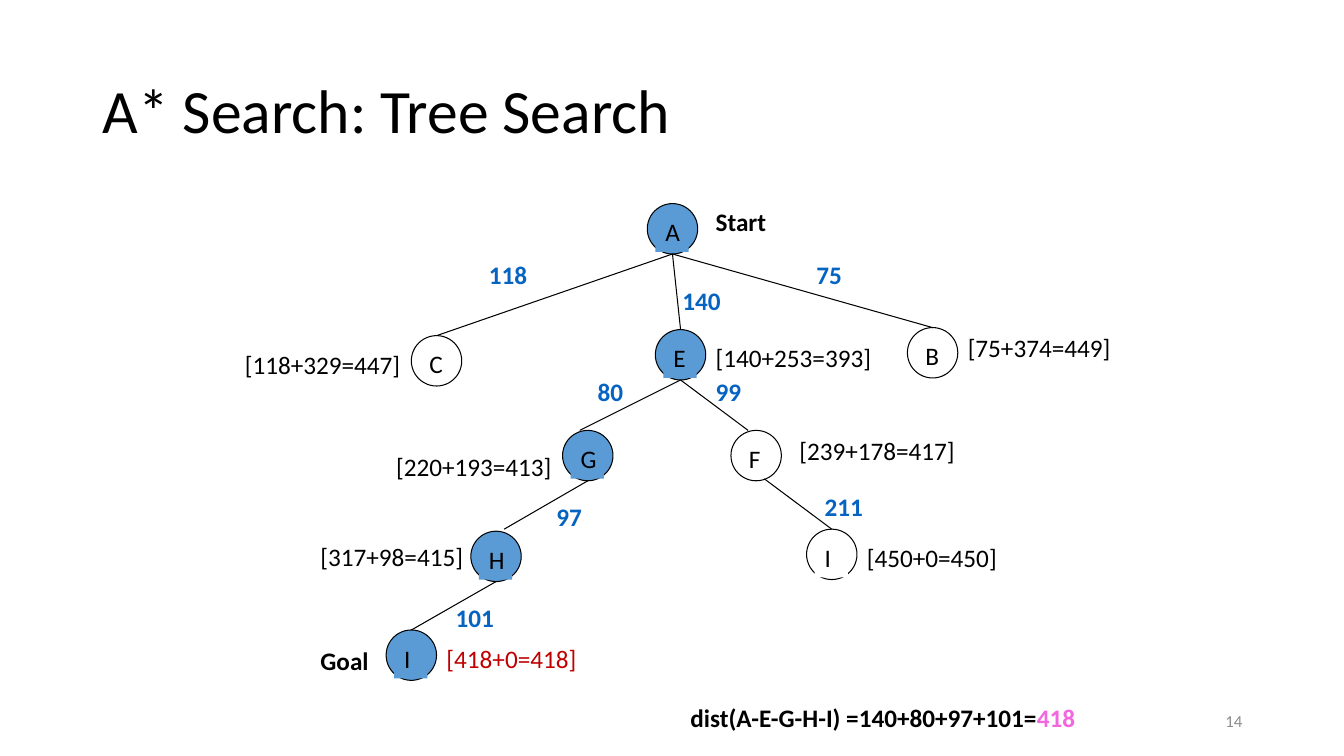
from dataclasses import dataclass

from pptx import Presentation
from pptx.dml.color import RGBColor
from pptx.enum.shapes import MSO_CONNECTOR, MSO_SHAPE
from pptx.enum.text import MSO_ANCHOR, PP_ALIGN
from pptx.oxml.ns import qn
from pptx.util import Inches, Pt
from lxml import etree

OVAL = MSO_SHAPE.OVAL
STRAIGHT = MSO_CONNECTOR.STRAIGHT
TOP, MIDDLE = MSO_ANCHOR.TOP, MSO_ANCHOR.MIDDLE
LEFT, RIGHT = PP_ALIGN.LEFT, PP_ALIGN.RIGHT

FONT = "Calibri"
BLACK, WHITE, GREY = "000000", "FFFFFF", "8C8C8C"
EXPANDED, COST_BLUE, GOAL_RED, PINK = "5B9BD5", "0563C1", "C00000", "F466E0"
DIAMETER = 0.5
LABEL_INSET, LABEL_WIDTH, LINE_HEIGHT = 0.08, 0.33, 0.4


@dataclass
class Node:
    letter: str
    x: float
    y: float
    fill: str | None = None


@dataclass
class Edge:
    """Runs from the parent's bottom to the child's top, shifted by the offsets."""
    parent: str
    child: str
    cost: str
    cost_x: float
    cost_y: float
    start_shift: tuple[float, float] = (0, 0)
    end_shift: tuple[float, float] = (0, 0)


@dataclass
class Note:
    text: str
    x: float
    y: float
    width: float
    color: str = BLACK
    bold: bool = False


NODES = {
    "A": Node("A", 6.42, 2.02, EXPANDED),
    "B": Node("B", 9, 3.25),
    "C": Node("C", 4.08, 3.33),
    "E": Node("E", 6.5, 3.27, EXPANDED),
    "F": Node("F", 7.25, 4.27),
    "G": Node("G", 5.58, 4.27, EXPANDED),
    "H": Node("H", 4.67, 5.27, EXPANDED),
    "I goal": Node("I", 3.83, 6.25, EXPANDED),
    "I right": Node("I", 8, 5.25, WHITE),
}

EDGES = [
    Edge("A", "B", "75", 8, 2.52),
    Edge("A", "E", "140", 6.67, 2.78),
    Edge("A", "C", "118", 4.75, 2.52),
    Edge("E", "F", "99", 7, 3.68, end_shift=(-0.08, 0)),
    Edge("E", "G", "80", 5.83, 3.68, end_shift=(-0.08, 0)),
    Edge("G", "H", "97", 5.42, 4.92, end_shift=(0.08, -0.02)),
    Edge("H", "I goal", "101", 4.42, 5.93),
    Edge("F", "I right", "211", 8.08, 4.83, start_shift=(0.08, -0.02)),
]

NOTES = [
    Note("Start", 7, 2, 1.33, bold=True),
    Note("Goal", 3.08, 6.35, 1.33, bold=True),
    Note("[418+0=418]", 4.33, 6.33, 1.92, GOAL_RED),
    Note("[140+253=393]", 7, 3.35, 1.83),
    Note("[75+374=449]", 9.5, 3.25, 1.92),
    Note("[118+329=447]", 2.33, 3.42, 1.92),
    Note("[317+98=415]", 3.08, 5.32, 1.67),
    Note("[239+178=417]", 7.83, 4.27, 1.83),
    Note("[220+193=413]", 3.83, 4.43, 2.17),
    Note("[450+0=450]", 8.5, 5.33, 1.53),
]


def rgb(color: str) -> RGBColor:
    return RGBColor.from_string(color)


def add_run(p, text: str, *, size=18, color=BLACK, bold=False):
    r = p.add_run()
    r.text = text
    r.font.name = FONT
    r.font.size = Pt(size)
    r.font.bold = bold
    r.font.color.rgb = rgb(color)


def add_text(shapes, text: str, x: float, y: float, width: float, height=LINE_HEIGHT, *,
             anchor=TOP, align=LEFT, wrap=True, spacing=1.0, **font):
    sp = shapes.add_textbox(Inches(x), Inches(y), Inches(width), Inches(height))
    tf = sp.text_frame
    tf.word_wrap = wrap
    tf.vertical_anchor = anchor
    p = tf.paragraphs[0]
    p.alignment = align
    p.line_spacing = spacing
    add_run(p, text, **font)
    return sp


def set_fill(sp, color: str | None):
    if color is None:
        sp.fill.background()
    else:
        sp.fill.solid()
        sp.fill.fore_color.rgb = rgb(color)


def add_node(shapes, node: Node):
    group = shapes.add_group_shape().shapes
    circle = group.add_shape(OVAL, Inches(node.x), Inches(node.y),
                             Inches(DIAMETER), Inches(DIAMETER))
    circle.shadow.inherit = False
    circle.line.color.rgb = rgb(BLACK)
    circle.line.width = Pt(0.75)
    label = add_text(group, node.letter, node.x + LABEL_INSET, node.y + LABEL_INSET, LABEL_WIDTH)
    for sp in (circle, label):
        set_fill(sp, node.fill)


def add_edge(shapes, edge: Edge):
    parent, child = NODES[edge.parent], NODES[edge.child]
    (x1, y1), (x2, y2) = edge.start_shift, edge.end_shift
    line = shapes.add_connector(
        STRAIGHT,
        Inches(parent.x + DIAMETER / 2 + x1), Inches(parent.y + DIAMETER + y1),
        Inches(child.x + DIAMETER / 2 + x2), Inches(child.y + y2))
    line.line.color.rgb = rgb(BLACK)
    line.line.width = Pt(0.75)
    etree.SubElement(line._element.spPr, qn("a:effectLst"))
    add_text(shapes, edge.cost, edge.cost_x, edge.cost_y, 0.83, color=COST_BLUE, bold=True)


def main():
    prs = Presentation()
    prs.slide_width, prs.slide_height = Inches(13.33), Inches(7.5)
    s = prs.slides.add_slide(prs.slide_layouts[6])

    add_text(s.shapes, "A* Search: Tree Search", 0.92, 0.4, 11.5, 1.45,
             anchor=MIDDLE, spacing=0.9, size=44)
    add_text(s.shapes, "14", 9.42, 6.95, 3, anchor=MIDDLE, align=RIGHT, size=12, color=GREY)
    for node in NODES.values():
        add_node(s.shapes, node)
    for edge in EDGES:
        add_edge(s.shapes, edge)
    for note in NOTES:
        add_text(s.shapes, note.text, note.x, note.y, note.width,
                 color=note.color, bold=note.bold)
    total = add_text(s.shapes, "dist(A-E-G-H-I) =140+80+97+101=", 6.75, 6.92, 4.12,
                     wrap=False, bold=True)
    add_run(total.text_frame.paragraphs[0], "418", color=PINK, bold=True)

    prs.save("out.pptx")


if __name__ == "__main__":
    main()
